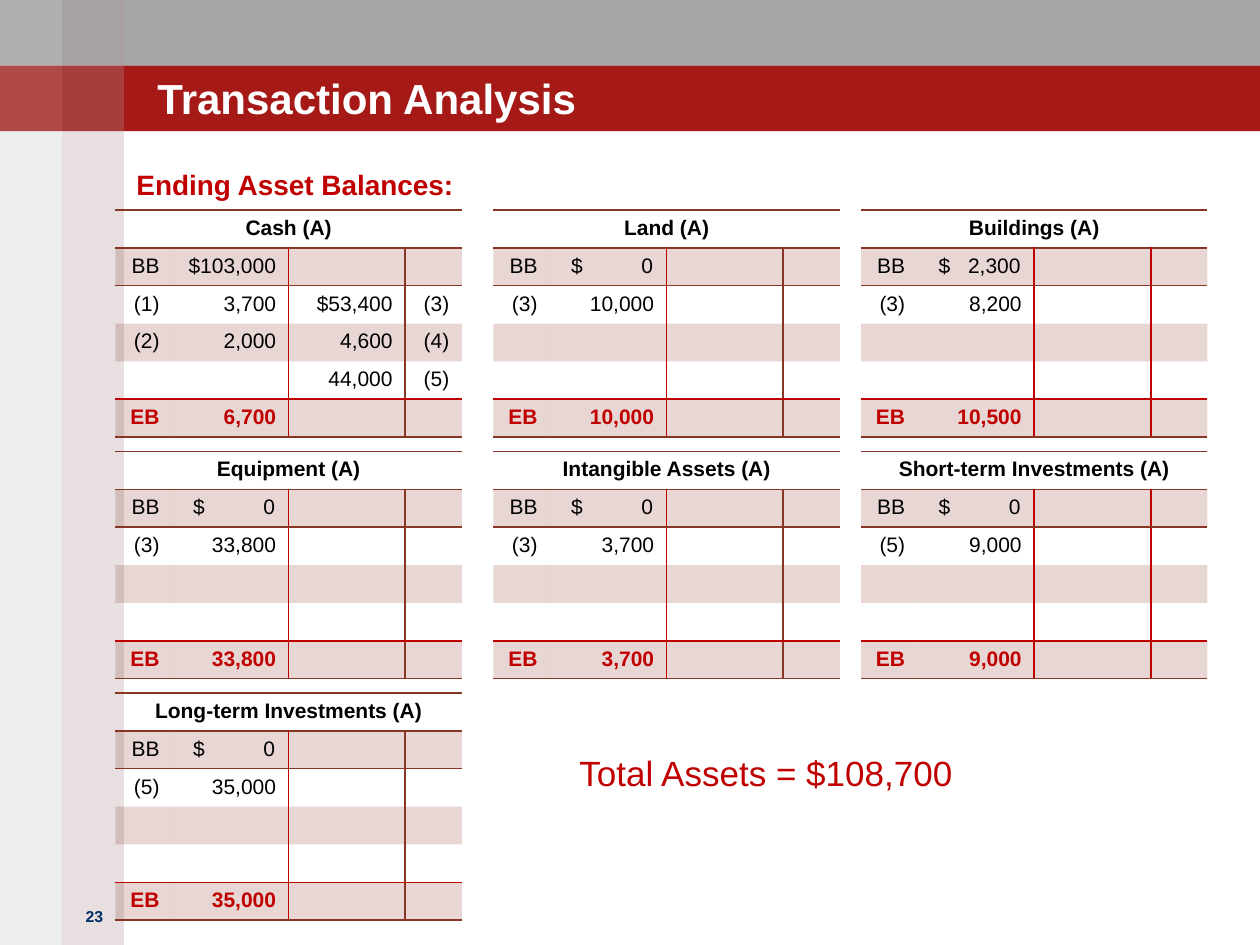
from lxml import etree
from pptx import Presentation, util as u
from pptx.dml.color import RGBColor
from pptx.enum import shapes, text as t
from pptx.oxml import ns, parse_xml

RED, BROWN, BLACK, WHITE = "C00000", "873624", "000000", "FFFFFF"
UNIT = u.Inches(10) // 120
BAND, STRIPE = 6.25, 5.9
ROW_HEIGHT = 3.44
COLUMN_WIDTHS = [5.4, 11.1, 11.1, 5.4]
TABLE_LEFTS = [11, 47, 82]
TABLE_TOP, TABLE_STEP = 20, 23
INSET = 1.2


def paint(fill, color, opacity=100):
    fill.solid()
    fill.fore_color.rgb = RGBColor.from_string(color)
    if opacity < 100:
        for node in fill._xPr.iter(ns.qn("a:srgbClr")):
            etree.SubElement(node, ns.qn("a:alpha"), val=str(opacity * 1000))


def write(frame, content, size=12, color=BLACK, bold=False, align=t.PP_ALIGN.LEFT,
          anchor=t.MSO_ANCHOR.TOP, inset=None, wrap=True, tab=None):
    frame.word_wrap = wrap
    frame.vertical_anchor = anchor
    if inset is not None:
        frame.margin_left = frame.margin_right = inset
        frame.margin_top = frame.margin_bottom = inset
    paragraph = frame.paragraphs[0]
    paragraph.alignment = align
    if tab:
        stops = etree.SubElement(paragraph._p.get_or_add_pPr(), ns.qn("a:tabLst"))
        etree.SubElement(stops, ns.qn("a:tab"), pos=str(int(tab * UNIT)), algn="r")
    if not content:
        etree.SubElement(paragraph._p, ns.qn("a:endParaRPr"), sz=str(size * 100))
        return
    run = paragraph.add_run()
    run.text = content
    run.font.name = "Arial"
    run.font.size = u.Pt(size)
    run.font.bold = bold
    paint(run.font.fill, color)


presentation = Presentation()
presentation.slide_width, presentation.slide_height = 120 * UNIT, 90 * UNIT
slide = presentation.slides.add_slide(presentation.slide_layouts[6])

rectangles = [
    (0, 0, 120, BAND, "A6A6A6", 100),
    (0, BAND, 120, BAND, "A51A17", 100),
    (STRIPE, 0, STRIPE, 90, "A08284", 25),
    (0, 0, STRIPE, 90, "938F8F", 15),
]
for band in range(2):
    for stripe, opacity in enumerate([15, 5]):
        rectangles.append((stripe * STRIPE, band * BAND, STRIPE, BAND, WHITE, opacity))
for *box, color, opacity in rectangles:
    shape = slide.shapes.add_shape(shapes.MSO_SHAPE.RECTANGLE,
                                   *[int(length * UNIT) for length in box])
    shape.shadow.inherit = False
    shape.line.fill.background()
    paint(shape.fill, color, opacity)

labels = [
    ((6, 85.8, 6, 4), "23",
     dict(size=9, color="002E62", bold=True, align=t.PP_ALIGN.CENTER)),
    ((15, 3.7, 95, 8), "Transaction Analysis",
     dict(size=24, color=WHITE, bold=True, inset=0, anchor=t.MSO_ANCHOR.BOTTOM)),
    ((13, 16, 101, 4), "Ending Asset Balances:",
     dict(size=16, color=RED, bold=True, inset=0)),
    ((54, 71, 38, 5.3), "Total Assets = $108,700",
     dict(size=20, color=RED, wrap=False)),
]
for box, content, style in labels:
    label = slide.shapes.add_textbox(*[int(length * UNIT) for length in box])
    write(label.text_frame, content, **style)

accounts = [
    (0, 0, "Cash (A)", "6,700", [
        ("BB", "$103,000"), ("(1)", "3,700", "$53,400", "(3)"),
        ("(2)", "2,000", "4,600", "(4)"), ("", "", "44,000", "(5)")]),
    (1, 0, "Land (A)", "10,000", [("BB", "$\t0"), ("(3)", "10,000")]),
    (2, 0, "Buildings (A)", "10,500", [("BB", "$\t2,300"), ("(3)", "8,200")]),
    (0, 1, "Equipment (A)", "33,800", [("BB", "$\t0"), ("(3)", "33,800")]),
    (0, 2, "Long-term Investments (A)", "35,000", [("BB", "$\t0"), ("(5)", "35,000")]),
    (1, 1, "Intangible Assets (A)", "3,700", [("BB", "$\t0"), ("(3)", "3,700")]),
    (2, 1, "Short-term Investments (A)", "9,000", [("BB", "$\t0"), ("(5)", "9,000")]),
]
for grid_column, grid_row, title, balance, entries in accounts:
    top = TABLE_TOP + grid_row * TABLE_STEP
    frame = slide.shapes.add_table(6, 4, TABLE_LEFTS[grid_column] * UNIT, top * UNIT,
                                   33 * UNIT, int(6 * ROW_HEIGHT * UNIT))
    table = frame.table
    table.first_row = table.horz_banding = False
    table._tbl.tblPr.find(ns.qn("a:tableStyleId")).text = "{2D5ABB26-0587-4C30-8999-92F81FD0307C}"
    for column, width in zip(table.columns, COLUMN_WIDTHS):
        column.width = int(width * UNIT)
    for row in table.rows:
        row.height = int(ROW_HEIGHT * UNIT)
    side_color = RED if grid_column == 2 else BROWN

    rows = [(title,), *entries, *[()] * (4 - len(entries)), ("EB", balance)]
    for row_index, values in enumerate(rows):
        header, ending = row_index == 0, row_index == 5
        for column_index in range(4):
            cell = table.cell(row_index, column_index)
            content = values[column_index] if column_index < len(values) else ""
            cell.margin_left = cell.margin_right = int(INSET * UNIT)
            style = dict(align=t.PP_ALIGN.RIGHT)
            if header:
                style = dict(align=t.PP_ALIGN.CENTER, bold=True)
            elif ending:
                style.update(color=RED, bold=True)
            elif "\t" in content:
                cell.margin_left = int(2 * UNIT)
                style = dict(tab=7.8)
            write(cell.text_frame, content, **style)

            borders = {}
            if not header:
                if column_index in (1, 2):
                    borders["R"] = RED if column_index == 1 else side_color
                if column_index in (2, 3):
                    borders["L"] = RED if column_index == 2 else side_color
            if row_index in (0, 1, 5):
                borders["T"] = RED if ending else BROWN
            if row_index in (0, 4, 5):
                borders["B"] = RED if row_index == 4 else BROWN
            properties = cell._tc.get_or_add_tcPr()
            for side in "LRTB":
                if side in borders:
                    properties.append(parse_xml(
                        f'<a:ln{side} {ns.nsdecls("a")} w="12700"><a:solidFill>'
                        f'<a:srgbClr val="{borders[side]}"/></a:solidFill></a:ln{side}>'))
            if row_index % 2:
                cell.fill.solid()
                cell.fill.fore_color.rgb = RGBColor.from_string(BROWN)
                color_node = properties.find(ns.qn("a:solidFill"))[0]
                etree.SubElement(color_node, ns.qn("a:alpha"), val="20000")
            else:
                cell.fill.background()
    table.cell(0, 0).merge(table.cell(0, 3))

presentation.save("out.pptx")
